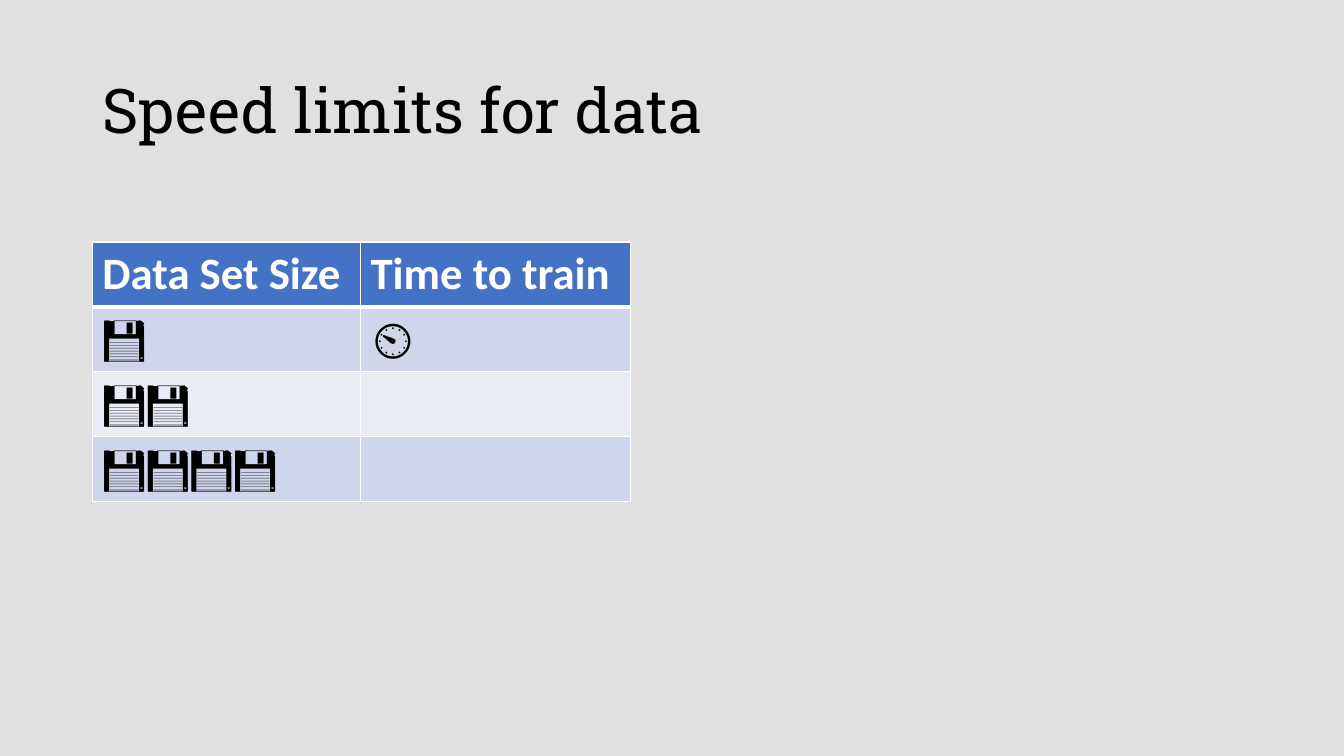
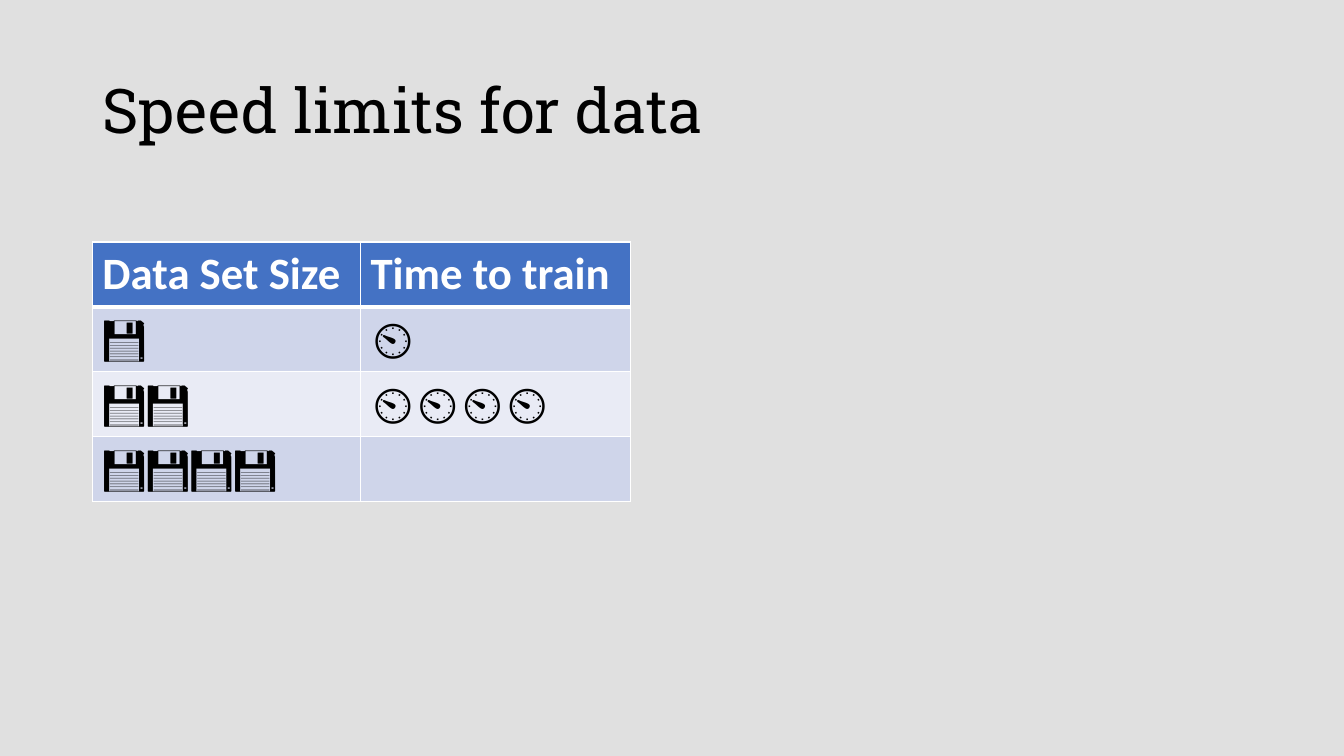
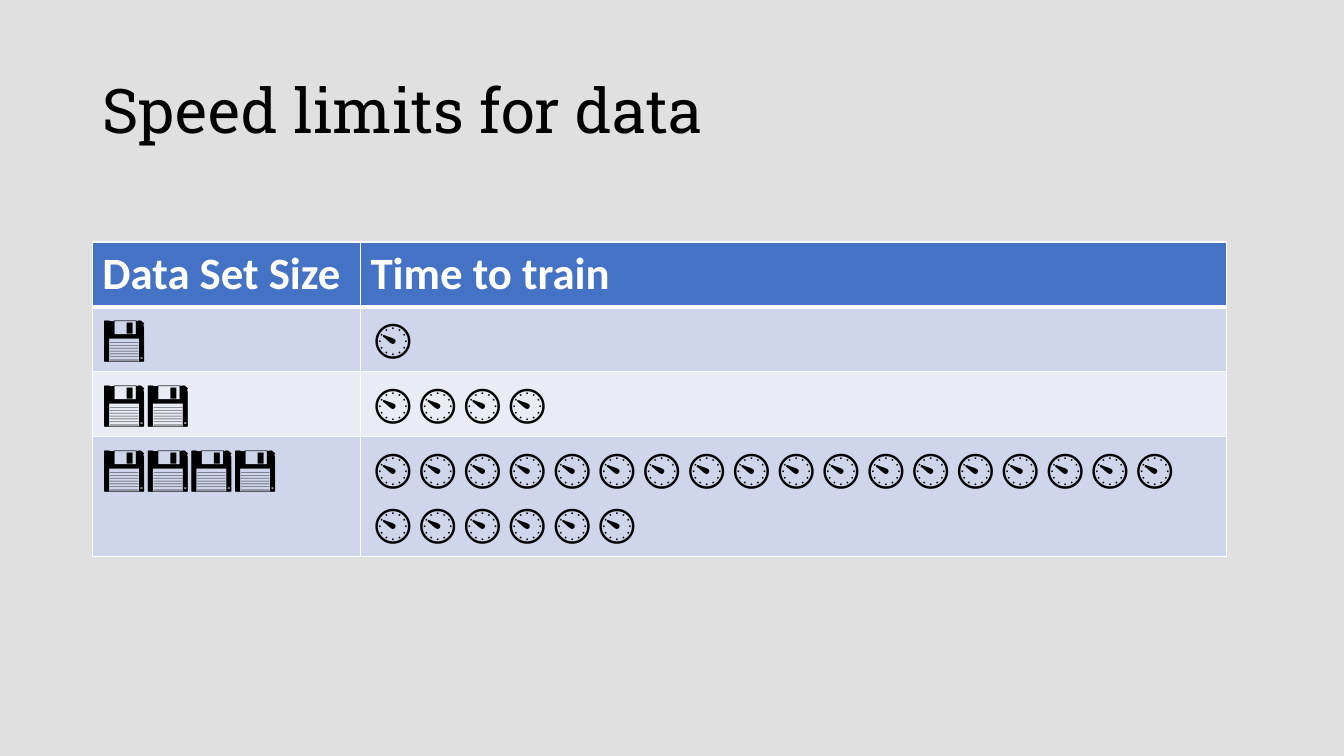
"""Build three slides that show how training time grows with data set size."""

from dataclasses import dataclass

from lxml import etree
from pptx import Presentation
from pptx.dml.color import RGBColor
from pptx.enum.text import MSO_ANCHOR, MSO_AUTO_SIZE, PP_ALIGN
from pptx.oxml.ns import qn
from pptx.presentation import Presentation as Deck
from pptx.slide import Slide, SlideLayout
from pptx.table import _Cell as Cell
from pptx.util import Pt

LEFT = PP_ALIGN.LEFT
MIDDLE = MSO_ANCHOR.MIDDLE
NO_AUTOFIT = MSO_AUTO_SIZE.NONE

BLACK = RGBColor(0x00, 0x00, 0x00)
WHITE = RGBColor(0xFF, 0xFF, 0xFF)
GREY = RGBColor(0xE0, 0xE0, 0xE0)
BLUE = RGBColor(0x44, 0x72, 0xC4)
BAND_DARK = RGBColor(0xCF, 0xD5, 0xEA)
BAND_LIGHT = RGBColor(0xE9, 0xEB, 0xF5)

TITLE = "Speed limits for data"
TITLE_FORMAT = {"name": "Roboto Slab", "size": Pt(44), "bold": False}
TITLE_BOX = {"left": Pt(66), "top": Pt(28.75), "width": Pt(828), "height": Pt(104.4)}
HEADER_FORMAT = {"name": "Calibri", "size": Pt(32), "bold": True}
BODY_FORMAT = {**HEADER_FORMAT, "bold": False}

TITLE_ONLY = 5
HEADERS = ("Data Set Size", "Time to train")
DISK, CLOCK = "💾", "⏲"
DISK_COUNTS = (1, 2, 4)
TABLE_TOP = Pt(172.8)
SIZE_COLUMN = Pt(191.5)
ROW_HEIGHT = Pt(46.4)
THIN, THICK = Pt(1), Pt(3)


@dataclass(frozen=True)
class Step:
    """Clock counts revealed on one slide and the width of their column."""

    clock_counts: tuple[int, int, int]
    time_column: Pt


STEPS = (
    Step((1, 0, 0), Pt(193)),
    Step((1, 4, 0), Pt(193)),
    Step((1, 4, 24), Pt(618.5)),
)


def apply_format(target: object, values: dict) -> None:
    """Set each named attribute on the target."""
    for name, value in values.items():
        setattr(target, name, value)


def prepare_layout(deck: Deck) -> SlideLayout:
    """Set the shared background and title position, and return the layout."""
    fill = deck.slide_master.background.fill
    fill.solid()
    fill.fore_color.rgb = GREY
    layout = deck.slide_layouts[TITLE_ONLY]
    apply_format(layout.placeholders[0], TITLE_BOX)
    return layout


def add_title(page: Slide) -> None:
    """Fill and format the title placeholder."""
    frame = page.shapes.title.text_frame
    frame.text = TITLE
    apply_format(frame, {"vertical_anchor": MIDDLE, "auto_size": NO_AUTOFIT, "word_wrap": True})
    para = frame.paragraphs[0]
    apply_format(para, {"alignment": LEFT, "line_spacing": 0.9})
    span = para.runs[0]
    apply_format(span.font, TITLE_FORMAT)
    span.font.color.rgb = BLACK


def add_borders(cell: Cell, row: int) -> None:
    """Draw white cell borders, with a thick rule under the header row."""
    widths = {
        "a:lnL": THIN,
        "a:lnR": THIN,
        "a:lnT": THICK if row == 1 else THIN,
        "a:lnB": THICK if row == 0 else THIN,
    }
    properties = cell._tc.get_or_add_tcPr()
    for tag, width in widths.items():
        line = etree.SubElement(properties, qn(tag), w=str(int(width)))
        fill = etree.SubElement(line, qn("a:solidFill"))
        etree.SubElement(fill, qn("a:srgbClr"), val=str(WHITE))


def fill_cell(cell: Cell, text: str, row: int) -> None:
    """Write one table cell in the style of its row."""
    add_borders(cell, row)
    cell.fill.solid()
    header = row == 0
    band = BAND_DARK if row % 2 else BAND_LIGHT
    cell.fill.fore_color.rgb = BLUE if header else band
    cell.text = text
    font = cell.text_frame.paragraphs[0].font
    for span in cell.text_frame.paragraphs[0].runs:
        font = span.font
    apply_format(font, HEADER_FORMAT if header else BODY_FORMAT)
    font.color.rgb = WHITE if header else BLACK


def add_training_table(page: Slide, step: Step) -> None:
    """Add the table that pairs data set sizes with training times."""
    counts = zip(DISK_COUNTS, step.clock_counts)
    rows = [HEADERS, *((DISK * disks, CLOCK * clocks) for disks, clocks in counts)]
    columns = (SIZE_COLUMN, step.time_column)
    frame = page.shapes.add_table(
        len(rows), len(columns), TITLE_BOX["left"], TABLE_TOP, sum(columns), ROW_HEIGHT * len(rows)
    )
    table = frame.table
    for column, width in zip(table.columns, columns):
        column.width = width
    for row, texts in enumerate(rows):
        for column, text in enumerate(texts):
            fill_cell(table.cell(row, column), text, row)


def main() -> None:
    """Create the deck and save it."""
    deck = Presentation()
    apply_format(deck, {"slide_width": Pt(960), "slide_height": Pt(540)})
    layout = prepare_layout(deck)
    for step in STEPS:
        page = deck.slides.add_slide(layout)
        add_title(page)
        add_training_table(page, step)
    deck.save("out.pptx")


if __name__ == "__main__":
    main()
